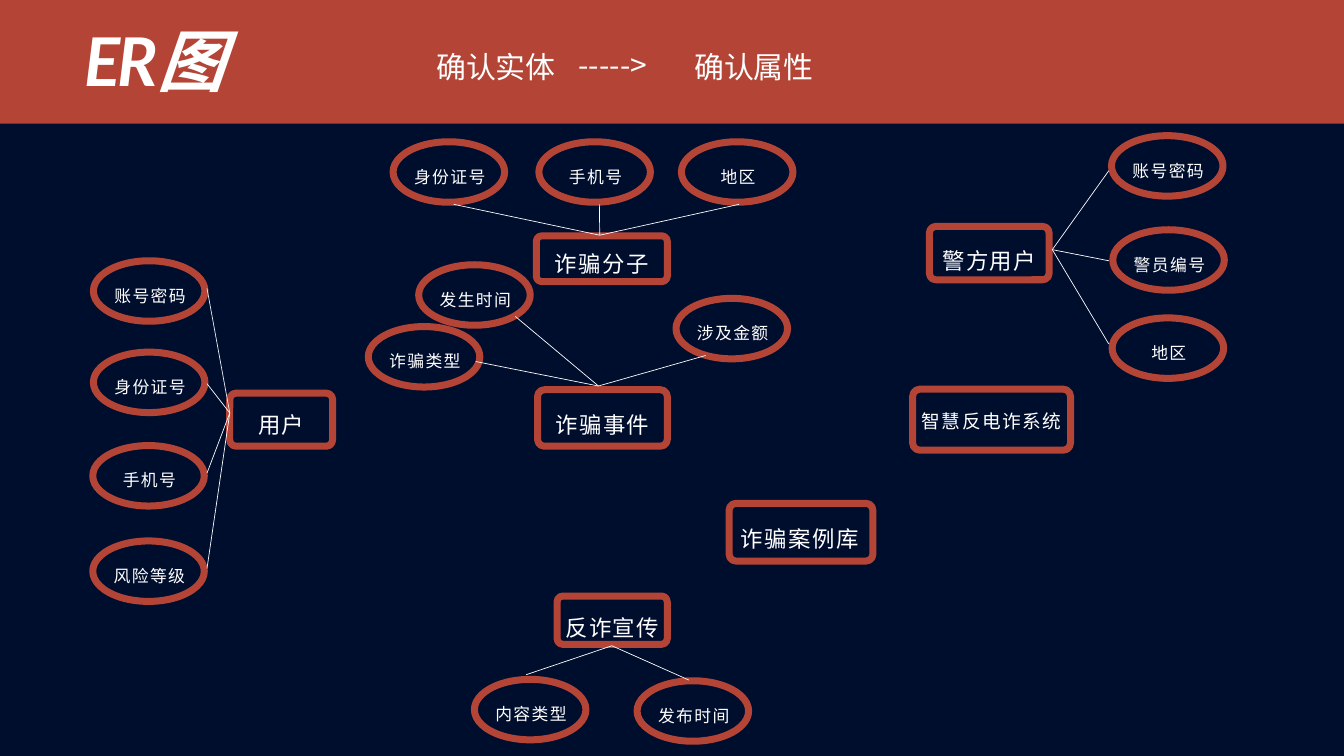
"""Build the entity and attribute diagram slide."""
from dataclasses import dataclass
from typing import Any, Optional

from lxml.etree import SubElement
from pptx import Presentation
from pptx.dml.color import RGBColor
from pptx.enum.shapes import MSO_CONNECTOR as Connector, MSO_SHAPE as Preset
from pptx.enum.text import MSO_ANCHOR as Anchor, MSO_AUTO_SIZE as AutoSize, PP_ALIGN as Align
from pptx.oxml.ns import qn
from pptx.util import Pt

NAVY = RGBColor(0x00, 0x0E, 0x2E)
RED = RGBColor(0xB4, 0x45, 0x36)
WHITE = RGBColor(0xFF, 0xFF, 0xFF)
PALE = RGBColor(0xEF, 0xF0, 0xF2)

CJK_FONT = "Noto Sans CJK SC"
OVAL_WIDTH, OVAL_HEIGHT = 119.5, 64.8
LABEL_WIDTH, LABEL_HEIGHT = 153.4, 115.2
LABEL_LEFT_SHIFT, LABEL_UP_SHIFT = 16, 34.7

MARGINS = ("margin_left", "margin_top", "margin_right", "margin_bottom")
HEADING_FRAME = {"word_wrap": True, "vertical_anchor": Anchor.TOP,
                 "auto_size": AutoSize.SHAPE_TO_FIT_TEXT, **dict.fromkeys(MARGINS, Pt(0))}
LABEL_FRAME = {"word_wrap": True, "vertical_anchor": Anchor.MIDDLE,
               "auto_size": AutoSize.NONE, **dict.fromkeys(MARGINS, Pt(4.3))}
TITLE_PARAGRAPH = {"alignment": Align.LEFT, "line_spacing": Pt(72)}
HEADING_PARAGRAPH = {"alignment": Align.LEFT, "line_spacing": Pt(44.8)}
LABEL_PARAGRAPH = {"alignment": Align.CENTER, "line_spacing": Pt(50.1)}
TITLE_FONT = {"name": "Lato", "size": Pt(72), "bold": True, "italic": True}


@dataclass(frozen=True)
class Attribute:
    text: str
    left: float
    top: float
    link_end: tuple[float, float]
    link_color: RGBColor = WHITE


@dataclass(frozen=True)
class Entity:
    text: str
    left: float
    top: float
    width: float
    height: float
    label_top: float
    label_height: float
    hub: Optional[tuple[float, float]] = None
    attributes: tuple[Attribute, ...] = ()
    size: float = 24
    label_shift: float = 0


ENTITIES = (
    Entity("警方用户", 995.8, 242.6, 128.2, 57.2, 226.1, 85.7, (1127.5, 267.5), (
        Attribute("地区", 1191.6, 340.6, (1188, 368.6)),
        Attribute("账号密码", 1190.9, 145.4, (1188, 182.9)),
        Attribute("警员编号", 1192.3, 246.2, (1188, 279.4)))),
    Entity("诈骗分子", 574.6, 252.7, 140.4, 49, 235.4, 73.4, (642.6, 252), (
        Attribute("身份证号", 421.2, 151.9, (486, 218.9)),
        Attribute("手机号", 577.4, 151.9, (642.2, 218.9)),
        Attribute("地区", 730.1, 151.9, (792, 218.9)))),
    Entity("诈骗事件", 576, 417.6, 139, 60.5, 398.9, 90.7, (641.2, 413.6), (
        Attribute("诈骗类型", 394.6, 349.9, (509.8, 387.4)),
        Attribute("发生时间", 448.6, 283.7, (552.2, 339.1)),
        Attribute("涉及金额", 724.3, 319.7, (756, 380.9)))),
    Entity("智慧反电诈系统", 977.8, 416.9, 169.2, 65.5, 394.6, 87.8, size=20),
    Entity("诈骗案例库", 781.2, 539.3, 154.1, 61.9, 520.6, 92.2, label_shift=-1.4),
    Entity("反诈宣传", 596.9, 638.6, 118.1, 51.8, 622.8, 78.5, (655.6, 691.9), (
        Attribute("内容类型", 508.3, 727.9, (563.8, 722.9)),
        Attribute("发布时间", 682.6, 729.4, (738, 728.6)))),
    Entity("用户", 246.2, 421.2, 110.2, 56.9, 401.8, 85, (246.2, 442.5), (
        Attribute("账号密码", 100.1, 279.4, (221.8, 308.9), PALE),
        Attribute("身份证号", 100.1, 377.3, (221.8, 411.1)),
        Attribute("手机号", 99.4, 477.4, (221.8, 506.9)),
        Attribute("风险等级", 99.4, 579.6, (221.8, 609.1)))),
)
HEADINGS = (("确认实体", 467.3, 45.4), ("----->", 619.9, 43.9), ("确认属性", 743.8, 45.4))


def apply_format(target: Any, values: dict[str, Any]) -> None:
    for name, value in values.items():
        setattr(target, name, value)


def box(left: float, top: float, width: float, height: float) -> tuple[Pt, ...]:
    return tuple(Pt(value) for value in (left, top, width, height))


def write_text(shape: Any, text: str, frame: dict, paragraph_format: dict,
               font: dict, spacing: float = 0) -> None:
    apply_format(shape.text_frame, frame)
    paragraph = shape.text_frame.paragraphs[0]
    apply_format(paragraph, paragraph_format)
    run = paragraph.add_run()
    run.text = text
    apply_format(run.font, font)
    run.font.color.rgb = WHITE
    properties = run._r.get_or_add_rPr()
    properties.set("spc", str(round(spacing * 100)))
    SubElement(properties, qn("a:ea"), typeface=font["name"])


def write_label(shape: Any, text: str, size: float) -> None:
    write_text(shape, text, LABEL_FRAME, LABEL_PARAGRAPH,
               {"name": CJK_FONT, "size": Pt(size)}, 1.5)


def add_outline(slide: Any, preset: Preset, *bounds: float) -> Any:
    shape = slide.shapes.add_shape(preset, *box(*bounds))
    shape.shadow.inherit = False
    shape.fill.background()
    shape.line.color.rgb = RED
    shape.line.width = Pt(7.5)
    return shape


def add_entity(slide: Any, entity: Entity) -> None:
    frame = add_outline(slide, Preset.ROUNDED_RECTANGLE, entity.left, entity.top,
                        entity.width, entity.height)
    frame.adjustments[0] = 0.12
    label = slide.shapes.add_textbox(*box(entity.left + entity.label_shift, entity.label_top,
                                          entity.width, entity.label_height))
    write_label(label, entity.text, entity.size)


def add_attribute(slide: Any, attribute: Attribute) -> None:
    add_outline(slide, Preset.OVAL, attribute.left, attribute.top, OVAL_WIDTH, OVAL_HEIGHT)
    label = add_outline(slide, Preset.OVAL, attribute.left - LABEL_LEFT_SHIFT,
                        attribute.top - LABEL_UP_SHIFT, LABEL_WIDTH, LABEL_HEIGHT)
    label.line.fill.background()
    write_label(label, attribute.text, 18)


def add_link(slide: Any, hub: tuple[float, float], attribute: Attribute) -> None:
    link = slide.shapes.add_connector(Connector.STRAIGHT, *box(*hub, *attribute.link_end))
    link.line.color.rgb = attribute.link_color
    link.line.width = Pt(0.75)
    SubElement(link._element.spPr, qn("a:effectLst"))


def add_header(slide: Any) -> None:
    banner = slide.shapes.add_shape(Preset.RECTANGLE, *box(0, 0, 1440, 132.5))
    banner.shadow.inherit = False
    banner.fill.solid()
    banner.fill.fore_color.rgb = RED
    banner.line.fill.background()
    title = slide.shapes.title
    title._element.addprevious(banner._element)
    bounds = zip(("left", "top", "width", "height"), box(90.7, 35.3, 1198.8, 75.6))
    apply_format(title, dict(bounds))
    write_text(title, "ER图", HEADING_FRAME, TITLE_PARAGRAPH, TITLE_FONT, -3.6)
    for text, left, top in HEADINGS:
        heading = slide.shapes.add_textbox(*box(left, top, 140.4, 44.8))
        write_text(heading, text, HEADING_FRAME, HEADING_PARAGRAPH,
                   {"name": CJK_FONT, "size": Pt(32)})


def main() -> None:
    presentation = Presentation()
    apply_format(presentation, {"slide_width": Pt(1440), "slide_height": Pt(810)})
    slide = presentation.slides.add_slide(presentation.slide_layouts[5])
    slide.background.fill.solid()
    slide.background.fill.fore_color.rgb = NAVY
    add_header(slide)
    for entity in ENTITIES:
        add_entity(slide, entity)
    for entity in ENTITIES:
        for attribute in entity.attributes:
            add_attribute(slide, attribute)
    for entity in ENTITIES:
        for attribute in entity.attributes:
            add_link(slide, entity.hub, attribute)
    presentation.save("out.pptx")


if __name__ == "__main__":
    main()
